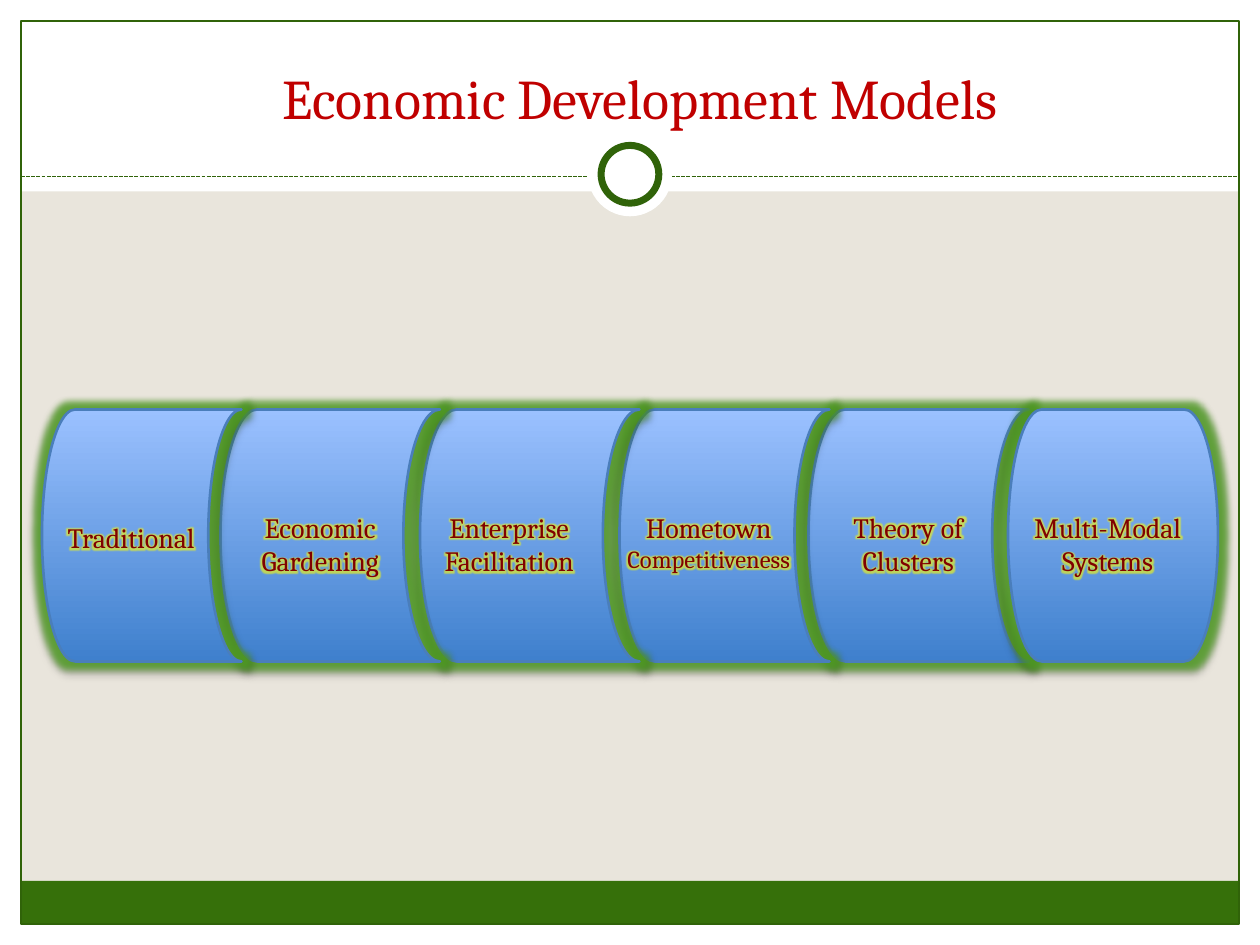
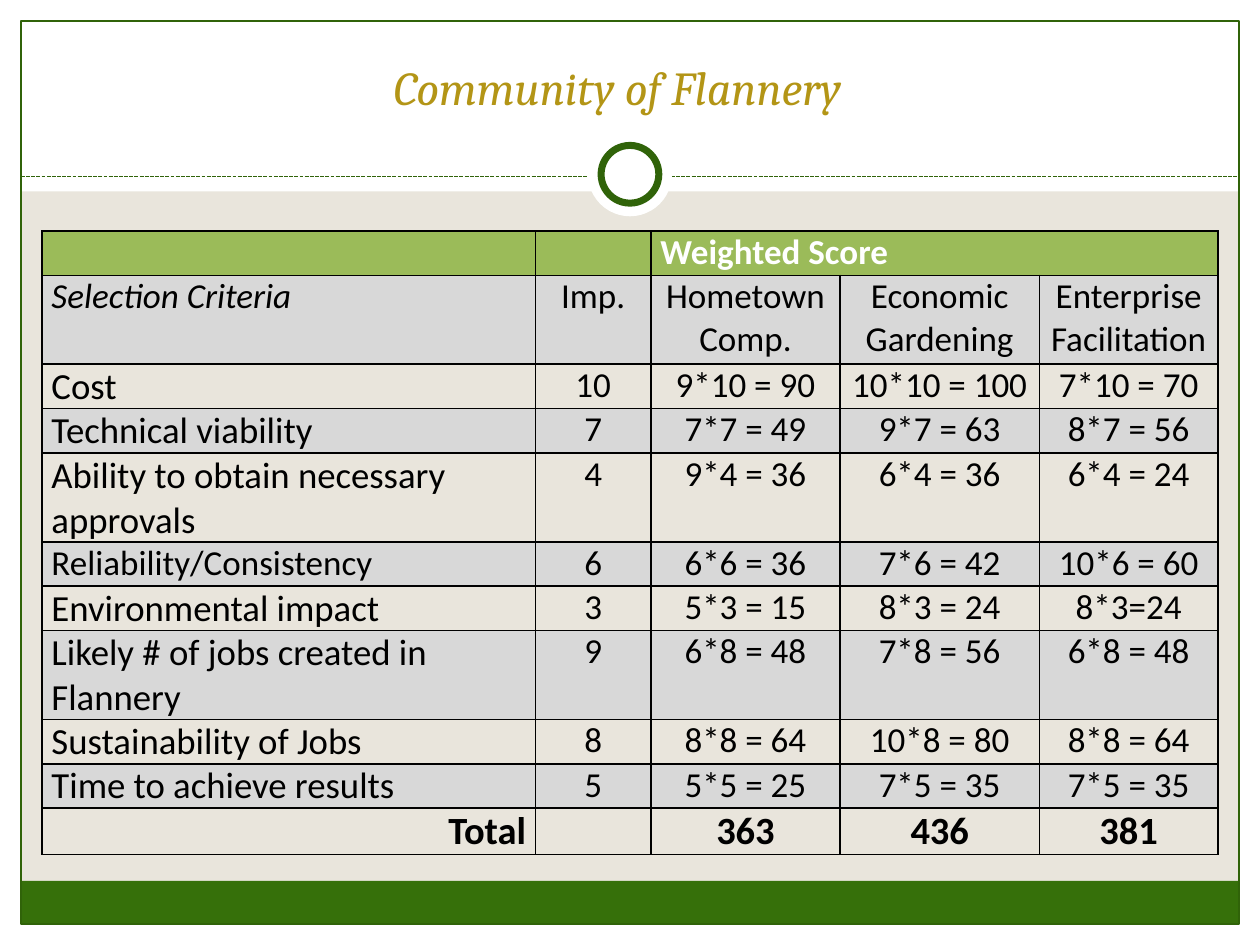
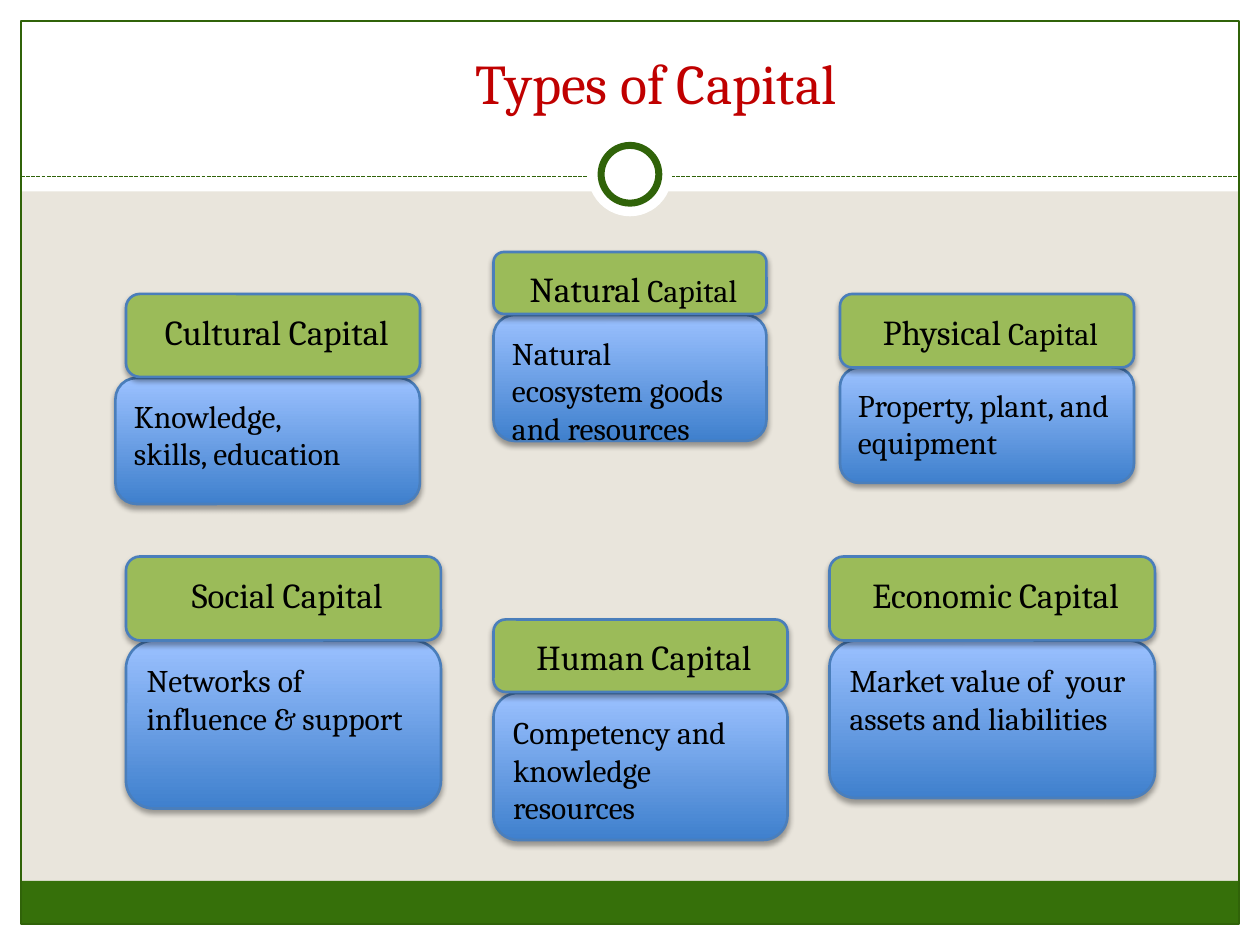
import lxml.etree
import pptx
import pptx.dml.color
import pptx.enum.dml
import pptx.enum.shapes
import pptx.enum.text
import pptx.oxml.ns
import pptx.util

RGBColor = pptx.dml.color.RGBColor
Pt = pptx.util.Pt
qn = pptx.oxml.ns.qn
Kind = pptx.enum.shapes.MSO_SHAPE
Align = pptx.enum.text.PP_ALIGN
Anchor = pptx.enum.text.MSO_ANCHOR

BLACK = RGBColor(0x00, 0x00, 0x00)
WHITE = RGBColor(0xFF, 0xFF, 0xFF)
SAND = RGBColor(0xE9, 0xE5, 0xDC)
FOOTER_GREEN = RGBColor(0x36, 0x70, 0x0A)
FRAME_GREEN = RGBColor(0x30, 0x63, 0x09)
HEADING_GREEN = RGBColor(0x9B, 0xBB, 0x59)
GLOW_GREEN = RGBColor(0x4F, 0x9E, 0x22)
GLOW_YELLOW = RGBColor(0xFF, 0xFF, 0x00)
GOLD = RGBColor(0xB3, 0x95, 0x16)
RED = RGBColor(0xC0, 0x00, 0x00)
MAROON = RGBColor(0x80, 0x00, 0x00)
BLUE_LINE = RGBColor(0x4A, 0x7E, 0xBB)
BAND_GREY = RGBColor(0xD8, 0xD8, 0xD8)
BLUE_GRADIENT = (RGBColor(0x9B, 0xC1, 0xFF), RGBColor(0x3F, 0x80, 0xCD))

SERIF, SANS = "Cambria", "Calibri"
COLUMNS, ROWS = 120, 90


def add_effect(effects, tag, color, opacity, **attributes):
    effect = lxml.etree.SubElement(effects, qn(tag))
    for name, value in attributes.items():
        effect.set(name, str(int(value)))
    tint = lxml.etree.SubElement(effect, qn("a:srgbClr"), val=str(color))
    lxml.etree.SubElement(tint, qn("a:alpha"), val=str(opacity * 1000))


class Deck:
    """Holds the style and the current slide; places are grid columns and rows."""

    def __init__(self):
        self.presentation = pptx.Presentation()
        self.presentation.slide_width = pptx.util.Inches(10)
        self.presentation.slide_height = pptx.util.Inches(7.5)
        self.slide = None

    def x(self, columns):
        return round(self.presentation.slide_width * columns / COLUMNS)

    def y(self, rows):
        return round(self.presentation.slide_height * rows / ROWS)

    def box(self, left, top, width, height):
        return self.x(left), self.y(top), self.x(width), self.y(height)

    def new_slide(self):
        """Starts a slide with the shared margins, footer, frame and ring."""
        self.slide = self.presentation.slides.add_slide(self.presentation.slide_layouts[6])
        background = self.slide.background.fill
        background.solid()
        background.fore_color.rgb = SAND
        for margin in ((0, 88, COLUMNS, 2), (0, 0, COLUMNS, 18.24),
                       (0, 0, 2, ROWS), (118, 0, 2, ROWS)):
            self.shape(Kind.RECTANGLE, margin, WHITE)
        self.shape(Kind.RECTANGLE, (2, 83.9, 116, 4.1), FOOTER_GREEN)
        self.shape(Kind.RECTANGLE, (2, 2, 116, 86), None, FRAME_GREEN, 0.75)
        self.dashed_line(2, 118, 16.8)
        self.shape(Kind.OVAL, (56, 12.6, 8, 8), WHITE)
        self.shape(Kind.OVAL, (57.25, 13.85, 5.5, 5.5), WHITE, FRAME_GREEN, 4)

    def shape(self, kind, place, fill, line=None, line_width=1.5):
        """A tuple of colours as fill gives a gradient from top to bottom."""
        shape = self.slide.shapes.add_shape(kind, *self.box(*place))
        shape.shadow.inherit = False
        if fill is None:
            shape.fill.background()
        elif fill is BLUE_GRADIENT:
            shape.fill.gradient()
            shape.fill.gradient_angle = 270
            for position, (stop, color) in enumerate(zip(shape.fill.gradient_stops, fill)):
                stop.color.rgb = color
                stop.position = position
        else:
            shape.fill.solid()
            shape.fill.fore_color.rgb = fill
        if line is None:
            shape.line.fill.background()
        else:
            shape.line.color.rgb = line
            shape.line.width = Pt(line_width)
        return shape

    def raised_shape(self, kind, place, fill, glow=False):
        shape = self.shape(kind, place, fill, BLUE_LINE)
        effects = shape._element.spPr.find(qn("a:effectLst"))
        if glow:
            add_effect(effects, "a:glow", GLOW_GREEN, 80, rad=Pt(8))
        add_effect(effects, "a:outerShdw", BLACK, 35, blurRad=Pt(3), dist=Pt(2),
                   dir=90 * 60000, rotWithShape=0)
        return shape

    def dashed_line(self, left, right, row):
        line = self.slide.shapes.add_connector(
            pptx.enum.shapes.MSO_CONNECTOR.STRAIGHT,
            self.x(left), self.y(row), self.x(right), self.y(row))
        line.line.color.rgb = FRAME_GREEN
        line.line.width = Pt(0.75)
        line.line.dash_style = pptx.enum.dml.MSO_LINE.SQUARE_DOT
        lxml.etree.SubElement(line._element.spPr, qn("a:effectLst"))

    def fill_text(self, frame, paragraphs, color, align=Align.CENTER, font=SERIF,
                  bold=False, italic=False, glow=False):
        """Each paragraph is a list of (text, size) runs."""
        frame.word_wrap = True
        for index, runs in enumerate(paragraphs):
            paragraph = frame.add_paragraph() if index else frame.paragraphs[0]
            paragraph.alignment = align
            for text, size in runs:
                run = paragraph.add_run()
                run.text = text
                run.font.size = Pt(size)
                run.font.name = font
                run.font.bold = bold
                run.font.italic = italic
                run.font.color.rgb = color
                if glow:
                    properties = run._r.get_or_add_rPr()
                    effects = lxml.etree.Element(qn("a:effectLst"))
                    properties.find(qn("a:latin")).addprevious(effects)
                    add_effect(effects, "a:glow", GLOW_YELLOW, 60, rad=Pt(5))

    def text(self, place, paragraphs, color, anchor=Anchor.TOP, **style):
        frame = self.slide.shapes.add_textbox(*self.box(*place)).text_frame
        frame.vertical_anchor = anchor
        self.fill_text(frame, paragraphs, color, **style)

    def card_part(self, place, fill, paragraphs, align):
        shape = self.raised_shape(Kind.ROUNDED_RECTANGLE, place, fill)
        frame = shape.text_frame
        frame.margin_left = frame.margin_right = self.x(1.2)
        frame.margin_top = frame.margin_bottom = self.y(1.2)
        frame.vertical_anchor = Anchor.TOP
        self.fill_text(frame, paragraphs, BLACK, align)

    def table(self, left, top, widths, heights):
        place = self.box(left, top, sum(widths), sum(heights))
        table = self.slide.shapes.add_table(len(heights), len(widths), *place).table
        table.first_row = table.horz_banding = False
        for column, width in zip(table.columns, widths):
            column.width = self.x(width)
        for row, height in zip(table.rows, heights):
            row.height = self.y(height)
        return table

    def cell(self, cell, text, size, fill, color=BLACK, **style):
        cell.margin_left = cell.margin_right = self.x(0.9)
        cell.margin_top = cell.margin_bottom = 0
        properties = cell._tc.get_or_add_tcPr()
        for side in ("a:lnL", "a:lnR", "a:lnT", "a:lnB"):
            border = lxml.etree.SubElement(properties, qn(side), w=str(int(Pt(1))))
            paint = lxml.etree.SubElement(border, qn("a:solidFill"))
            lxml.etree.SubElement(paint, qn("a:srgbClr"), val=str(BLACK))
        if fill is None:
            cell.fill.background()
        else:
            cell.fill.solid()
            cell.fill.fore_color.rgb = fill
        if text:
            self.fill_text(cell.text_frame, [[(text, size)]], color, font=SANS, **style)


def add_models(deck):
    deck.new_slide()
    segments = ((77, 21), (59, 20), (40, 20.9), (21, 20.9), (4, 19))
    for left, width in segments:
        deck.raised_shape(Kind.FLOWCHART_STORED_DATA, (left, 39, width, 24),
                          BLUE_GRADIENT, glow=True)
    deck.raised_shape(Kind.FLOWCHART_TERMINATOR, (96, 39, 20, 24), BLUE_GRADIENT, glow=True)
    deck.text((5, 4, 112, 9), [[("Economic Development Models", 32)]], RED, Anchor.BOTTOM)
    labels = (
        (0, 49, [[("Traditional", 16)]]),
        (18, 48, [[("Economic", 16)], [("Gardening", 16)]]),
        (36, 48, [[("Enterprise", 16), (" ", 14), ("Facilitation", 16)]]),
        (55, 48, [[("Hometown", 16)], [("Competitiveness", 14)]]),
        (74, 48, [[("Theory of", 16)], [("Clusters", 16)]]),
        (93, 48, [[("Multi-Modal", 16)], [("Systems", 16)]]),
    )
    for left, top, paragraphs in labels:
        deck.text((left, top, 25, 7.6), paragraphs, MAROON, glow=True)


def add_scores(deck):
    deck.new_slide()
    deck.text((3, 5, 111.6, 10), [[("Community of Flannery", 27)]], GOLD, italic=True)
    rows = (
        ("", "", "Weighted Score", "", ""),
        ("Selection Criteria", "Imp.", "Hometown Comp.", "Economic Gardening",
         "Enterprise Facilitation"),
        ("Cost", "10", "9*10 = 90", "10*10 = 100", "7*10 = 70"),
        ("Technical viability", "7", "7*7 = 49", "9*7 = 63", "8*7 = 56"),
        ("Ability to obtain necessary approvals", "4", "9*4 = 36", "6*4 = 36", "6*4 = 24"),
        ("Reliability/Consistency", "6", "6*6 = 36", "7*6 = 42", "10*6 = 60"),
        ("Environmental impact", "3", "5*3 = 15", "8*3 = 24", "8*3=24"),
        ("Likely # of jobs created in Flannery", "9", "6*8 = 48", "7*8 = 56", "6*8 = 48"),
        ("Sustainability of Jobs", "8", "8*8 = 64", "10*8 = 80", "8*8 = 64"),
        ("Time to achieve results", "5", "5*5 = 25", "7*5 = 35", "7*5 = 35"),
        ("Total", "", "363", "436", "381"),
    )
    header, criteria, reliability, total = 0, 1, 5, len(rows) - 1
    two_line_rows = (1, 4, 7)
    heights = [8.46 if row in two_line_rows else 4.23 for row in range(len(rows))]
    table = deck.table(4, 22, (47, 11, 18, 19, 17), heights)
    for row, texts in enumerate(rows):
        fill = HEADING_GREEN if row == header else BAND_GREY if row % 2 else None
        for column, text in enumerate(texts):
            size, align = 20, Align.CENTER
            if row == header:
                align = Align.JUSTIFY
            elif row == total:
                size = 22
                align = Align.CENTER if column else Align.RIGHT
            elif column == 0:
                size = 20 if row in (criteria, reliability) else 21
                align = Align.LEFT
            deck.cell(table.cell(row, column), text, size, fill,
                      WHITE if row == header else BLACK, align=align,
                      bold=row in (header, total),
                      italic=row == criteria and column == 0)
    table.cell(header, 2).merge(table.cell(header, 4))


def add_capital(deck):
    deck.new_slide()
    deck.text((27, 4, 71, 11.3), [[("Types of Capital", 32)]], RED)
    cards = (
        ((12, 28, 28, 7.9), [(" Cultural Capital", 20)],
         (11, 36, 29, 12), ("Knowledge,", "skills, education")),
        ((47, 24, 26, 5.9), [(" ", 18), ("Natural", 20), (" Capital", 18)],
         (47, 30, 26, 12), ("Natural ecosystem goods and resources",)),
        ((80, 28, 28, 7), [(" ", 18), ("Physical", 20), (" Capital", 18)],
         (80, 35, 28, 11), ("Property, plant, and equipment",)),
        ((12, 53, 30, 8), [(" Social Capital", 20)],
         (12, 61, 30, 16), ("Networks of influence & support",)),
        ((47, 59, 28, 6.9), [(" ", 18), ("Human", 20), (" ", 18), ("Capital", 20)],
         (47, 66, 28, 14), ("Competency and knowledge resources",)),
        ((79, 53, 31, 8), [(" ", 18), ("Economic", 20), (" ", 18), ("Capital", 20)],
         (79, 61, 31, 15), ("Market value of  your assets and liabilities",)),
    )
    for heading_place, heading, body_place, lines in cards:
        deck.card_part(body_place, BLUE_GRADIENT, [[(line, 18)] for line in lines], Align.LEFT)
        deck.card_part(heading_place, HEADING_GREEN, [heading], Align.CENTER)


def main():
    deck = Deck()
    add_models(deck)
    add_scores(deck)
    add_capital(deck)
    deck.presentation.save("out.pptx")


if __name__ == "__main__":
    main()
